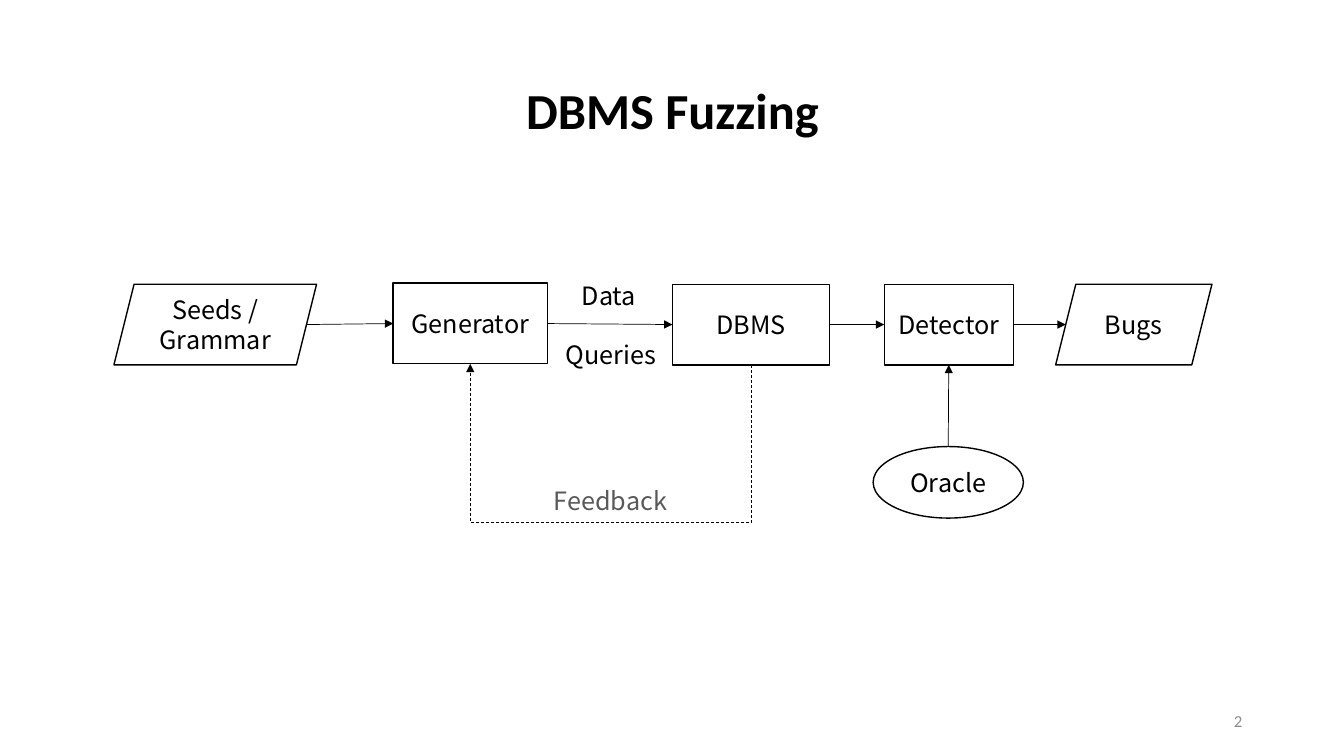
"""Build the DBMS fuzzing workflow slide."""
import lxml.etree
import pptx
import pptx.dml.color
import pptx.enum.dml
import pptx.enum.shapes
import pptx.enum.text
import pptx.oxml.ns
import pptx.util

RGB = pptx.dml.color.RGBColor
BLACK = RGB(0, 0, 0)
WHITE = RGB(255, 255, 255)
FEEDBACK_GRAY = RGB(0x59, 0x59, 0x59)
NUMBER_GRAY = RGB(0x8C, 0x8C, 0x8C)
DIAGRAM_FONT = "Noto Sans CJK SC"
TITLE_FONT = "Calibri"
SHAPE = pptx.enum.shapes.MSO_SHAPE
LINK = pptx.enum.shapes.MSO_CONNECTOR
ALIGN = pptx.enum.text.PP_ALIGN
MIDDLE = pptx.enum.text.MSO_ANCHOR.MIDDLE
PX = 9144

TITLE = ("DBMS Fuzzing", (92, 40, 1150, 145))
NODES = {
    "seeds": (SHAPE.PARALLELOGRAM, ["Seeds /", "Grammar"], (113, 282, 201, 80)),
    "generator": (SHAPE.RECTANGLE, ["Generator"], (390, 281, 153, 80)),
    "dbms": (SHAPE.RECTANGLE, ["DBMS"], (667, 282, 156, 80)),
    "detector": (SHAPE.RECTANGLE, ["Detector"], (877, 282, 128, 80)),
    "bugs": (SHAPE.PARALLELOGRAM, ["Bugs"], (1047, 282, 155, 80)),
    "oracle": (SHAPE.OVAL, ["Oracle"], (866, 443, 149, 71)),
}
FLOW = ["seeds", "generator", "dbms", "detector", "bugs"]
LABELS = [
    ("Data", BLACK, (549, 273, 110, 40)),
    ("Queries", BLACK, (547, 332, 118, 40)),
    ("Feedback", FEEDBACK_GRAY, (531, 477, 149, 40)),
]
PAGE_NUMBER = ("2", (942, 695, 300, 40))
FEEDBACK_DROP = 159
SLANT = 10


def emu(values):
    return [round(v * PX) for v in values]


def write(tf, lines, size, font, color, align=ALIGN.CENTER, bold=False):
    tf.word_wrap = True
    for i, line in enumerate(lines):
        p = tf.paragraphs[0] if i == 0 else tf.add_paragraph()
        p.alignment = align
        r = p.add_run()
        r.text = line
        r.font.size = pptx.util.Pt(size)
        r.font.name = font
        r.font.bold = bold
        r.font.color.rgb = color


def add_node(s, kind, lines, box):
    sp = s.shapes.add_shape(kind, *emu(box))
    sp.shadow.inherit = False
    sp.fill.solid()
    sp.fill.fore_color.rgb = WHITE
    sp.line.color.rgb = BLACK
    sp.line.width = pptx.util.Pt(1)
    sp.text_frame.vertical_anchor = MIDDLE
    write(sp.text_frame, lines, 18, DIAGRAM_FONT, BLACK)
    return sp


def add_text(s, text, box, size, font, color, align=ALIGN.CENTER):
    sp = s.shapes.add_textbox(*emu(box))
    write(sp.text_frame, [text], size, font, color, align)
    return sp


def add_arrow(s, kind, start, end):
    c = s.shapes.add_connector(kind, *emu(start + end))
    c.line.color.rgb = BLACK
    c.line.width = pptx.util.Pt(0.5)
    qn = pptx.oxml.ns.qn
    lxml.etree.SubElement(c.line._get_or_add_ln(), qn("a:tailEnd"), type="triangle")
    lxml.etree.SubElement(c._element.spPr, qn("a:effectLst"))
    return c


def side(name, right):
    kind, _, (x, y, w, h) = NODES[name]
    inset = SLANT if kind == SHAPE.PARALLELOGRAM else 0
    return (x + w - inset if right else x + inset, y + h // 2)


def bottom(name):
    x, y, w, h = NODES[name][2]
    return (x + w / 2, y + h)


def add_feedback(s, source, target):
    start, end = bottom("dbms"), bottom("generator")
    c = add_arrow(s, LINK.ELBOW, start, end)
    c.line.dash_style = pptx.enum.dml.MSO_LINE.DASH
    c.begin_connect(source, 2)
    c.end_connect(target, 2)
    span, rise = start[0] - end[0], start[1] - end[1]
    left = (start[0] + end[0] - rise) / 2
    top = (start[1] + end[1] - span) / 2
    c.left, c.top, c.width, c.height = emu((left, top, rise, span))
    xfrm = c._element.spPr.find(pptx.oxml.ns.qn("a:xfrm"))
    xfrm.attrib.pop("flipV", None)
    xfrm.set("rot", str(90 * 60000))
    xfrm.set("flipH", "1")
    guides = c._element.spPr.prstGeom.get_or_add_avLst()
    lxml.etree.SubElement(guides, pptx.oxml.ns.qn("a:gd"), name="adj1",
                          fmla=f"val {round(-FEEDBACK_DROP / rise * 100000)}")


def main():
    prs = pptx.Presentation()
    prs.slide_width, prs.slide_height = emu((1333, 750))
    s = prs.slides.add_slide(prs.slide_layouts[5])
    title = s.shapes.title
    text, box = TITLE
    title.left, title.top, title.width, title.height = emu(box)
    title.text_frame.vertical_anchor = MIDDLE
    write(title.text_frame, [text], 36, TITLE_FONT, BLACK, bold=True)
    title.text_frame.paragraphs[0].line_spacing = 0.9

    nodes = {name: add_node(s, *node) for name, node in NODES.items()}
    for a, b in zip(FLOW, FLOW[1:]):
        add_arrow(s, LINK.STRAIGHT, side(a, True), side(b, False))
    x, y, w, _ = NODES["oracle"][2]
    add_arrow(s, LINK.STRAIGHT, (x + w / 2, y), bottom("detector"))
    add_feedback(s, nodes["dbms"], nodes["generator"])

    for text, color, box in LABELS:
        add_text(s, text, box, 18, DIAGRAM_FONT, color)
    text, box = PAGE_NUMBER
    sp = add_text(s, text, box, 12, TITLE_FONT, NUMBER_GRAY, ALIGN.RIGHT)
    sp.text_frame.vertical_anchor = MIDDLE
    prs.save("out.pptx")


if __name__ == "__main__":
    main()
